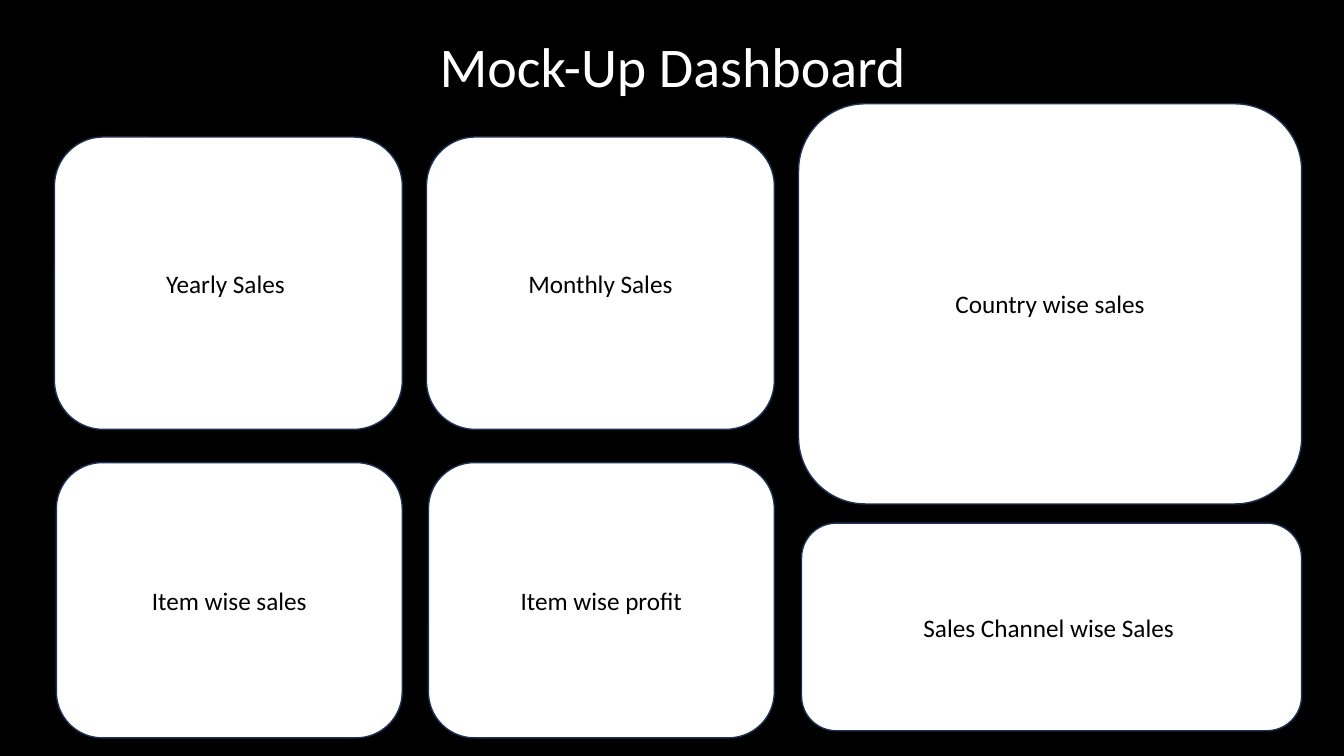
"""Build the mock-up sales dashboard slide."""
import pptx
import pptx.dml.color
import pptx.enum.shapes
import pptx.enum.text
import pptx.util

PX = 9144
THEME = {
    "font": "Calibri",
    "background": "000000",
    "title": "FFFFFF",
    "panel": "FFFFFF",
    "border": "1E3256",
    "label": "000000",
    "title_size": 40,
    "label_size": 18,
}


def color(name):
    return pptx.dml.color.RGBColor.from_string(THEME[name])


def write(tf, text, role):
    tf.word_wrap = True
    tf.text = text
    p = tf.paragraphs[0]
    p.alignment = pptx.enum.text.PP_ALIGN.CENTER
    font = p.runs[0].font
    font.name = THEME["font"]
    font.size = pptx.util.Pt(THEME[role + "_size"])
    font.color.rgb = color(role)


prs = pptx.Presentation()
prs.slide_width, prs.slide_height = 1333 * PX, 750 * PX
s = prs.slides.add_slide(prs.slide_layouts[6])
s.background.fill.solid()
s.background.fill.fore_color.rgb = color("background")

title = s.shapes.add_textbox(318 * PX, 26 * PX, 698 * PX, 77 * PX)
write(title.text_frame, "Mock-Up Dashboard", "title")
title.text_frame.auto_size = pptx.enum.text.MSO_AUTO_SIZE.SHAPE_TO_FIT_TEXT

panels = [
    ("Yearly Sales ", 54, 136, 345, 290),
    ("Monthly Sales", 423, 136, 345, 290),
    ("Country wise sales", 792, 103, 499, 397),
    ("Item wise sales", 56, 459, 343, 273),
    ("Item wise profit", 425, 459, 343, 273),
    ("Sales Channel wise Sales ", 795, 519, 496, 206),
]
for label, *box in panels:
    sp = s.shapes.add_shape(
        pptx.enum.shapes.MSO_SHAPE.ROUNDED_RECTANGLE, *(v * PX for v in box)
    )
    sp.shadow.inherit = False
    sp.fill.solid()
    sp.fill.fore_color.rgb = color("panel")
    sp.line.color.rgb = color("border")
    sp.line.width = pptx.util.Pt(1)
    sp.text_frame.vertical_anchor = pptx.enum.text.MSO_ANCHOR.MIDDLE
    write(sp.text_frame, label, "label")

prs.save("out.pptx")
